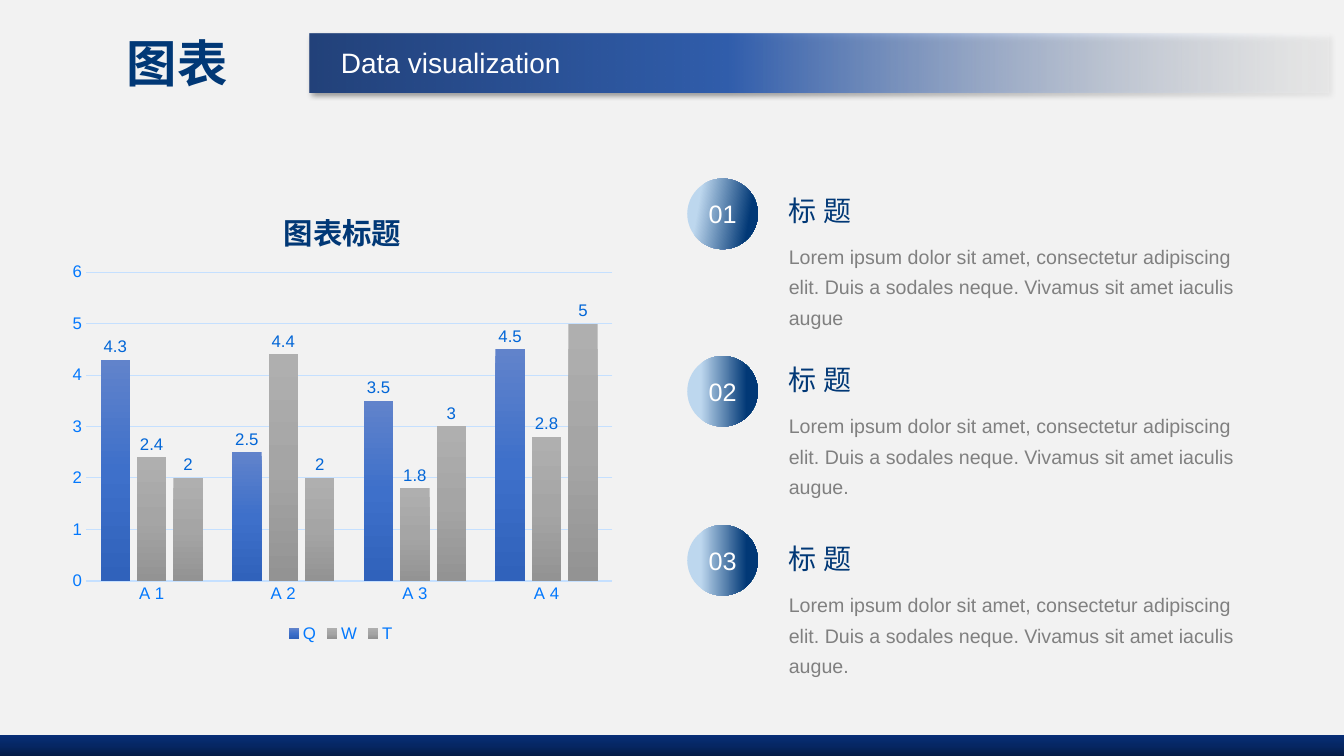
from dataclasses import dataclass

from lxml.etree import SubElement
from pptx import Presentation
from pptx.chart.data import CategoryChartData
from pptx.dml.color import RGBColor as Rgb
from pptx.enum.chart import XL_CHART_TYPE as Kind
from pptx.enum.chart import XL_LABEL_POSITION as Spot
from pptx.enum.chart import XL_LEGEND_POSITION as Side
from pptx.enum.chart import XL_TICK_MARK as Tick
from pptx.enum.shapes import MSO_SHAPE as Form
from pptx.enum.text import MSO_ANCHOR as Anchor
from pptx.enum.text import MSO_AUTO_SIZE as Fit
from pptx.enum.text import PP_ALIGN as Align
from pptx.oxml.ns import qn
from pptx.util import Cm, Pt


@dataclass(frozen=True)
class Theme:
    latin: str = "Arial"
    asian: str = "Noto Sans CJK SC"
    back: str = "F2F2F2"
    navy: str = "013876"
    white: str = "FFFFFF"
    gray: str = "808080"
    axis: str = "0378FD"
    grid: str = "C5E0FF"
    label: str = "0266D7"
    banner: tuple = ((0, "23427A"), (41, "315EAD"), (100, "FFFFFF", 16))
    footer: tuple = ((0, "041B46"), (50, "062764"), (100, "072E76"))
    badge: tuple = ((19, "BDD7EE"), (84, "013876"))
    blue: tuple = ((0, "6183CB"), (50, "3E70CA"), (100, "3062BB"))
    steel: tuple = ((0, "AFAFAF"), (50, "A5A5A5"), (100, "939393"))
    title: int = 36
    chart: int = 21
    head: int = 20
    number: int = 18
    body: int = 14
    small: int = 12


def shade(fill, root, stops, angle):
    """Give a fill gradient stops of (percent, colour, optional opacity)."""
    fill.gradient()
    grad = next(root.iter(qn("a:gradFill")))
    marks = grad.find(qn("a:gsLst"))
    for old in list(marks):
        marks.remove(old)
    for place, color, *alpha in stops:
        stop = SubElement(marks, qn("a:gs"), pos=str(place * 1000))
        tint = SubElement(stop, qn("a:srgbClr"), val=color)
        for part in alpha:
            SubElement(tint, qn("a:alpha"), val=str(part * 1000))
    grad.find(qn("a:lin")).set("ang", str(angle * 60000))


def style(font, size, color, name=None, bold=False):
    font.size, font.bold = Pt(size), bold
    font.color.rgb = Rgb.from_string(color)
    font.name = name or look.latin


look = Theme()
deck = Presentation()
deck.slide_width, deck.slide_height = Cm(33.87), Cm(19.05)
slide = deck.slides.add_slide(deck.slide_layouts[1])
slide.background.fill.solid()
slide.background.fill.fore_color.rgb = Rgb.from_string(look.back)
title, topic = slide.placeholders

# Banner and footer bars, behind the placeholders
bars = [
    ((7.8, 0.86, 25.68, 1.47), look.banner, 0),
    ((0, 18.52, 33.87, 0.53), look.footer, 270),
]
for box, stops, angle in bars:
    bar = slide.shapes.add_shape(Form.RECTANGLE, *map(Cm, box))
    shade(bar.fill, bar.element, stops, angle)
    bar.line.fill.background()
    bar.shadow.inherit = False
    title.element.addprevious(bar.element)
    if stops is look.banner:
        glow = SubElement(
            bar.element.spPr.find(qn("a:effectLst")), qn("a:outerShdw"),
            blurRad=str(Pt(4)), dist=str(Pt(3)), dir=str(45 * 60000))
        tint = SubElement(glow, qn("a:srgbClr"), val="000000")
        SubElement(tint, qn("a:alpha"), val="40000")

# Title and topic
heads = [
    (title, "图表", (3.2, 0.94, 4.6, 1.47), Anchor.MIDDLE,
     look.title, look.navy, look.asian),
    (topic, "Data visualization", (8.59, 1.12, 14.07, 1.12), Anchor.TOP,
     look.head, look.white, look.latin),
]
for holder, text, box, anchor, size, color, name in heads:
    holder.left, holder.top, holder.width, holder.height = map(Cm, box)
    frame = holder.text_frame
    frame.text = text
    frame.auto_size = Fit.NONE
    frame.vertical_anchor = anchor
    frame.margin_left = frame.margin_right = 0
    para = frame.paragraphs[0]
    props = para._p.get_or_add_pPr()
    props.set("marL", "0")
    props.set("indent", "0")
    para.line_spacing, para.space_before = 0.9, Pt(0)
    SubElement(props, qn("a:buNone"))
    para.alignment = Align.LEFT
    style(para.font, size, color, name, holder is title)

# Column chart
data = CategoryChartData()
data.categories = ["A 1", "A 2", "A 3", "A 4"]
data.add_series("Q", (4.3, 2.5, 3.5, 4.5))
data.add_series("W", (2.4, 4.4, 1.8, 2.8))
data.add_series("T", (2, 2, 3, 5))
chart = slide.shapes.add_chart(
    Kind.COLUMN_CLUSTERED, Cm(1.45), Cm(4.5), Cm(14.27), Cm(11.79), data).chart
style(chart.font, look.small, look.axis)
chart.has_title = True
chart.chart_title.text_frame.text = "图表标题"
style(chart.chart_title.text_frame.paragraphs[0].font,
      look.chart, look.navy, look.asian, True)
chart.has_legend = True
chart.legend.position = Side.BOTTOM
chart.legend.include_in_layout = False
style(chart.legend.font, look.small, look.axis)

plot = chart.plots[0]
plot.gap_width, plot.overlap = 100, -24
plot.vary_by_categories = False
plot.has_data_labels = True
plot.data_labels.show_value = True
plot.data_labels.position = Spot.OUTSIDE_END
style(plot.data_labels.font, look.small, look.label)
for series, stops in zip(plot.series, (look.blue, look.steel, look.steel)):
    shade(series.format.fill, series._element, stops, 90)

cats, vals = chart.category_axis, chart.value_axis
for axis in (cats, vals):
    axis.major_tick_mark = axis.minor_tick_mark = Tick.NONE
    style(axis.tick_labels.font, look.small, look.axis)
vals.minimum_scale, vals.maximum_scale, vals.major_unit = 0, 6, 1
vals.format.line.fill.background()
for line, width in ((cats.format.line, 1), (vals.major_gridlines.format.line, 0.75)):
    line.color.rgb = Rgb.from_string(look.grid)
    line.width = Pt(width)

places = [
    ("c:title", 1, {"xMode": "edge", "yMode": "edge", "x": 0.39, "y": 0.05}),
    ("c:plotArea", 0, {"layoutTarget": "inner", "xMode": "edge", "yMode": "edge",
                       "x": 0.05, "y": 0.2, "w": 0.93, "h": 0.66}),
]
for tag, index, marks in places:
    owner = next(chart.element.iter(qn(tag)))
    for old in owner.findall(qn("c:layout")):
        owner.remove(old)
    layout = SubElement(owner, qn("c:layout"))
    owner.insert(index, layout)
    manual = SubElement(layout, qn("c:manualLayout"))
    for key, value in marks.items():
        SubElement(manual, qn("c:" + key), val=str(value))

# Numbered points
lorem = ("Lorem ipsum dolor sit amet, consectetur adipiscing elit. "
         "Duis a sodales neque. Vivamus sit amet iaculis augue")
points = [(4.5, 4.75, 10, ""), (8.97, 9.02, 0, "."), (13.23, 13.53, 0, ".")]
for count, (top, head, angle, end) in enumerate(points, 1):
    group = slide.shapes.add_group_shape()
    badge = group.shapes.add_shape(
        Form.OVAL, Cm(17.32), Cm(top), Cm(1.78), Cm(1.78))
    shade(badge.fill, badge.element, look.badge, angle)
    badge.line.fill.background()
    badge.shadow.inherit = False
    frame = badge.text_frame
    frame.text = f"{count:02}"
    frame.vertical_anchor = Anchor.MIDDLE
    frame.paragraphs[0].alignment = Align.CENTER
    style(frame.paragraphs[0].font, look.number, look.white)

    texts = [
        ("标 题", head, 2.16, 1.11, False, 1, look.head, look.navy, look.asian),
        (lorem + end, head + 1.11, 12.55, 1.73, True, 1.3,
         look.body, look.gray, look.latin),
    ]
    for text, y, width, height, wrap, space, size, color, name in texts:
        box = group.shapes.add_textbox(Cm(19.63), Cm(y), Cm(width), Cm(height))
        frame = box.text_frame
        frame.text = text
        frame.word_wrap = wrap
        frame.auto_size = Fit.SHAPE_TO_FIT_TEXT
        para = frame.paragraphs[0]
        para.line_spacing = space
        style(para.font, size, color, name)

# East Asian typeface beside the Latin one
for root in (slide.element, chart.element):
    for face in list(root.iter(qn("a:latin"))):
        if face.get("typeface") == look.asian:
            face.addnext(face.makeelement(qn("a:ea"), typeface=look.asian))

deck.save("out.pptx")
